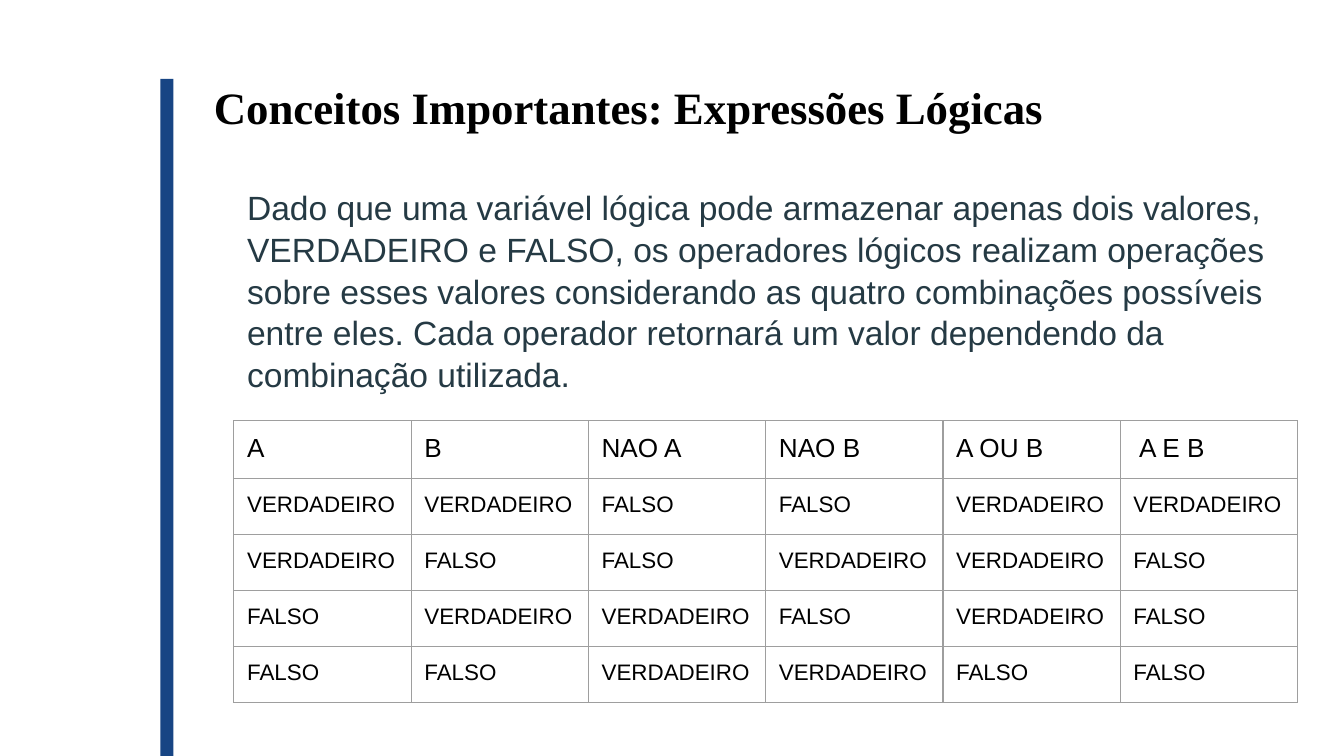
from itertools import product

from lxml.etree import SubElement
from pptx import Presentation
from pptx.dml.color import RGBColor
from pptx.enum.shapes import MSO_SHAPE as Shape
from pptx.enum.text import MSO_ANCHOR as Anchor, MSO_AUTO_SIZE as Fit, PP_ALIGN as Align
from pptx.oxml.ns import qn
from pptx.util import Cm, Pt

TITLE = "Conceitos Importantes: Expressões Lógicas"
BODY = (
    "Dado que uma variável lógica pode armazenar apenas dois valores, "
    "VERDADEIRO e FALSO, os operadores lógicos realizam operações sobre esses "
    "valores considerando as quatro combinações possíveis entre eles. Cada "
    "operador retornará um valor dependendo da combinação utilizada."
)
HEADS = ["A", "B", "NAO A", "NAO B", "A OU B", " A E B"]
PAD = 0.25


def paint(color, value):
    color.rgb = RGBColor.from_string(value)


def write(frame, text, size, color, name="Arial", bold=False):
    para = frame.paragraphs[0]
    para.text = text
    para.alignment = Align.LEFT
    font = para.font
    font.name, font.size, font.bold = name, Pt(size), bold
    paint(font.color, color)
    return para


def pad(item, side, edge):
    item.margin_left = item.margin_right = Cm(side)
    item.margin_top = item.margin_bottom = Cm(edge)


def add_bar(slide, x, y, w, h):
    bar = slide.shapes.add_shape(Shape.RECTANGLE, Cm(x), Cm(y), Cm(w), Cm(h))
    bar.shadow.inherit = False
    bar.fill.solid()
    paint(bar.fill.fore_color, "174584")
    bar.line.fill.background()


def set_title(slide, x, y, w, h):
    title = slide.shapes.title
    title.left, title.top, title.width, title.height = map(Cm, (x, y, w, h))
    frame = title.text_frame
    frame.word_wrap, frame.auto_size = True, Fit.NONE
    frame.vertical_anchor = Anchor.MIDDLE
    pad(frame, PAD, 0.13)
    write(frame, TITLE, 24, "000000", "Times New Roman", True)


def add_body(slide, x, y, w, h):
    frame = slide.shapes.add_textbox(Cm(x), Cm(y), Cm(w), Cm(h)).text_frame
    frame.word_wrap = True
    pad(frame, PAD, PAD)
    write(frame, BODY, 18, "253A44").line_spacing = 1.04


def add_edges(cell, color, width):
    props = cell._tc.get_or_add_tcPr()
    for n, side in enumerate(("lnL", "lnR", "lnT", "lnB")):
        # Border lines come before the fill in the cell properties
        line = SubElement(props, qn(f"a:{side}"), w=str(Pt(width)))
        props.insert(n, line)
        fill = SubElement(line, qn("a:solidFill"))
        SubElement(fill, qn("a:srgbClr"), val=color)


def truth_rows():
    for a, b in product((True, False), repeat=2):
        values = (a, b, not a, not b, a or b, a and b)
        yield ["VERDADEIRO" if v else "FALSO" for v in values]


def add_truth(slide, x, y, w, h):
    rows = [HEADS, *truth_rows()]
    table = slide.shapes.add_table(
        len(rows), len(HEADS), Cm(x), Cm(y), Cm(w), Cm(h)
    ).table
    table.first_row = table.horz_banding = False
    for col in table.columns:
        col.width = Cm(w / len(HEADS))
    for r, row in enumerate(rows):
        table.rows[r].height = Cm(h / len(rows))
        for c, text in enumerate(row):
            cell = table.cell(r, c)
            cell.fill.background()
            pad(cell, PAD, PAD)
            write(cell.text_frame, text, 12 if r else 14, "000000")
            add_edges(cell, "9E9E9E", 0.75)


def main():
    deck = Presentation()
    deck.slide_width, deck.slide_height = Cm(25.4), Cm(14.29)
    slide = deck.slides.add_slide(deck.slide_layouts[5])
    # Side bar and title
    add_bar(slide, 3.03, 1.49, 0.25, 12.8)
    set_title(slide, 3.79, 1.38, 21.5, 1.27)
    # Explanation and truth table
    add_body(slide, 4.42, 3.25, 20, 4.37)
    add_truth(slide, 4.42, 7.95, 20.1, 5.3)
    deck.save("out.pptx")


if __name__ == "__main__":
    main()
